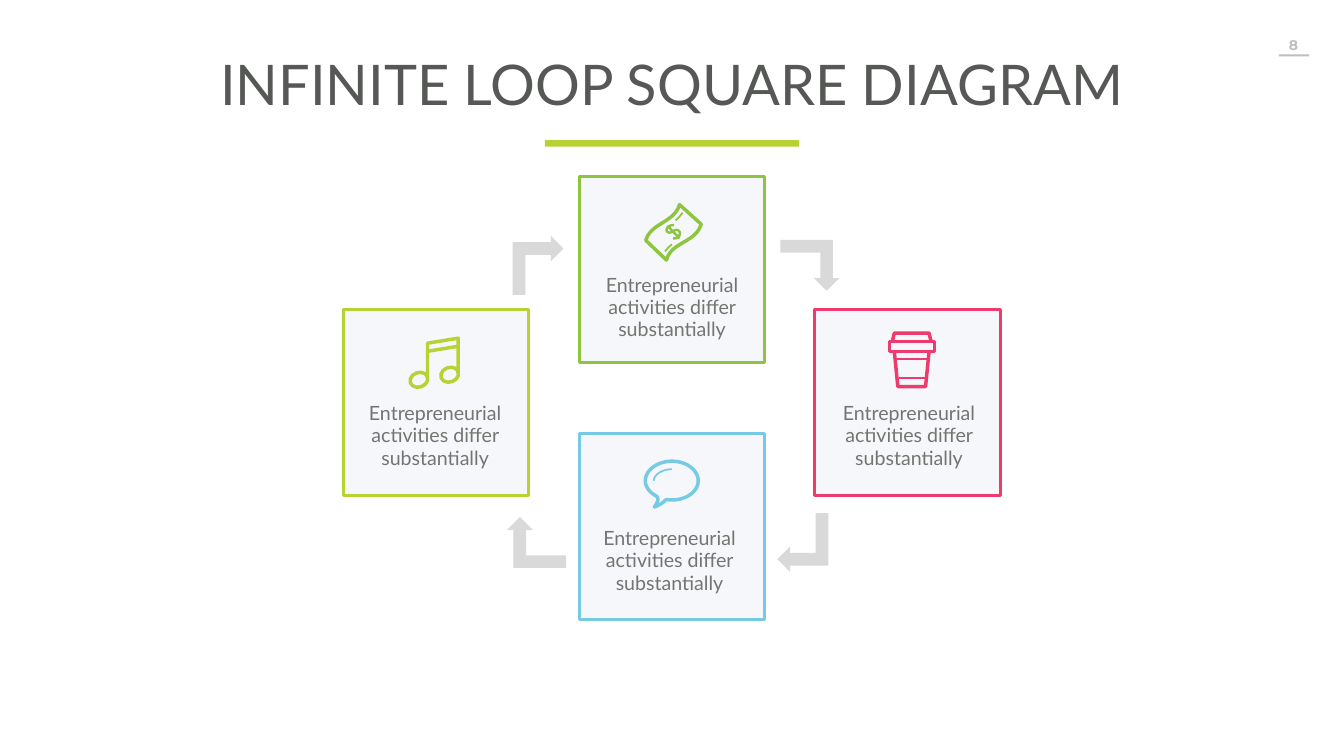
from collections import namedtuple

from pptx import Presentation
from pptx.dml.color import RGBColor
from pptx.enum.shapes import MSO_SHAPE
from pptx.enum.text import MSO_ANCHOR, PP_ALIGN
from pptx.oxml.ns import qn
from pptx.util import Inches, Pt

GREEN = RGBColor(0x8D, 0xC5, 0x40)
LIME = RGBColor(0xB7, 0xD3, 0x33)
BLUE = RGBColor(0x76, 0xCA, 0xE3)
PINK = RGBColor(0xEE, 0x3B, 0x6D)
PANEL = RGBColor(0xF6, 0xF7, 0xFA)
ARROW_GREY = RGBColor(0xD9, 0xD9, 0xD9)
PAGE_GREY = RGBColor(0xBF, 0xBF, 0xBF)
TEXT_GREY = RGBColor(0x73, 0x75, 0x72)
TITLE_GREY = RGBColor(0x56, 0x58, 0x56)

Box = namedtuple("Box", "left top width height")
Card = namedtuple("Card", "box color icon icon_at text_at")

CARD_TEXT = "Entrepreneurial activities differ substantially"
CARD_SIZE = (3.68, 3.69)
BOLD_STROKE, THIN_STROKE = 5, 2.5
CURVE_STEPS = 12


def inches(box):
    return [Inches(value) for value in box]


def add_block(page, kind, box, fill, line=None):
    shape = page.shapes.add_shape(kind, *inches(box))
    shape.shadow.inherit = False
    shape.fill.solid()
    shape.fill.fore_color.rgb = fill
    if line is None:
        shape.line.fill.background()
    else:
        shape.line.color.rgb = line
        shape.line.width = Pt(4.5)
    return shape


def write(frame, text, font, size, color, spacing=1.0, bold=False):
    para = frame.paragraphs[0]
    para.alignment = PP_ALIGN.CENTER
    para.line_spacing = spacing
    span = para.add_run()
    span.text = text
    span.font.name = font
    span.font.size = Pt(size)
    span.font.bold = bold
    span.font.color.rgb = color


def add_text(page, box, *args, **style):
    frame = page.shapes.add_textbox(*inches(box)).text_frame
    frame.word_wrap = True
    frame.margin_left = frame.margin_right = Inches(0.2)
    frame.margin_top = frame.margin_bottom = Inches(0.1)
    write(frame, *args, **style)


def flatten(path):
    """Turn steps of one point (line) or three points (cubic curve) into points."""
    points = [path[0]]
    for step in path[1:]:
        if len(step) == 2:
            points.append(step)
            continue
        start, (first, second, end) = points[-1], step
        for index in range(1, CURVE_STEPS + 1):
            t = index / CURVE_STEPS
            u = 1 - t
            points.append(tuple(
                u ** 3 * a + 3 * u * u * t * b + 3 * u * t * t * c + t ** 3 * d
                for a, b, c, d in zip(start, first, second, end)))
    return points


def add_strokes(page, at, color, weight, paths):
    """Draw open or closed strokes in one outline, measured from the icon corner."""
    contours = [[(Inches(at[0] + x), Inches(at[1] + y)) for x, y in flatten(path)]
                for path in paths]
    builder = page.shapes.build_freeform(*contours[0][0], scale=1.0)
    for index, contour in enumerate(contours):
        if index:
            builder.move_to(*contour[0])
        builder.add_line_segments(contour[1:], close=contour[0] == contour[-1])
    shape = builder.convert_to_shape()
    shape.shadow.inherit = False
    shape.fill.background()
    shape.line.color.rgb = color
    shape.line.width = Pt(weight)


def draw_banknote(page, at, color):
    add_strokes(page, at, color, BOLD_STROKE, [
        [(0.46, 1.14), (0.05, 0.75), ((0.15, 0.40), (0.62, 0.40), (0.72, 0.04)),
         (1.15, 0.43), ((1.04, 0.80), (0.55, 0.78), (0.46, 1.14))]])
    add_strokes(page, at, color, 3.5, [
        [(0.61, 0.45), ((0.52, 0.43), (0.42, 0.53), (0.48, 0.58)),
         ((0.54, 0.64), (0.62, 0.51), (0.69, 0.55)),
         ((0.78, 0.60), (0.70, 0.73), (0.59, 0.71))],
        [(0.48, 0.46), (0.72, 0.71)]])
    add_strokes(page, at, color, THIN_STROKE, [
        [(0.43, 0.97), ((0.48, 0.91), (0.52, 0.86), (0.57, 0.83))],
        [(0.64, 0.35), ((0.70, 0.31), (0.74, 0.25), (0.78, 0.20))]])


def draw_music_note(page, at, color):
    add_strokes(page, at, color, BOLD_STROKE, [
        [(0.39, 0.84), (0.39, 0.13), (1.00, 0.03), (1.00, 0.74)],
        [(0.39, 0.29), (1.00, 0.19)]])
    for left, top in ((0.04, 0.71), (0.65, 0.61)):
        head = page.shapes.add_shape(
            MSO_SHAPE.OVAL, *inches((at[0] + left, at[1] + top, 0.36, 0.29)))
        head.rotation = -20
        head.shadow.inherit = False
        head.fill.background()
        head.line.color.rgb = color
        head.line.width = Pt(BOLD_STROKE)


def draw_speech_bubble(page, at, color):
    add_strokes(page, at, color, BOLD_STROKE, [
        [(0.45, 0.79), ((0.49, 0.80), (0.53, 0.80), (0.56, 0.80)),
         ((0.85, 0.80), (1.08, 0.63), (1.08, 0.42)),
         ((1.08, 0.21), (0.85, 0.03), (0.56, 0.03)),
         ((0.27, 0.03), (0.03, 0.21), (0.03, 0.42)),
         ((0.03, 0.55), (0.13, 0.66), (0.26, 0.73)),
         ((0.30, 0.76), (0.28, 0.85), (0.21, 0.94)),
         ((0.31, 0.91), (0.38, 0.85), (0.45, 0.79))]])
    add_strokes(page, at, color, THIN_STROKE, [
        [(0.20, 0.42), ((0.20, 0.30), (0.36, 0.19), (0.56, 0.19))]])


def draw_cup(page, at, color):
    add_strokes(page, at, color, BOLD_STROKE, [
        [(0.04, 0.20), (0.94, 0.20), (0.94, 0.39), (0.04, 0.39), (0.04, 0.20)],
        [(0.10, 0.20), (0.14, 0.03), (0.83, 0.03), (0.87, 0.20)],
        [(0.14, 0.39), (0.21, 1.09), (0.76, 1.09), (0.83, 0.39)]])
    add_strokes(page, at, color, THIN_STROKE, [
        [(0.18, 0.54), (0.80, 0.54)], [(0.23, 0.92), (0.75, 0.92)]])


def add_card(page, card):
    add_block(page, MSO_SHAPE.RECTANGLE, card.box, PANEL, card.color)
    card.icon(page, card.icon_at, card.color)
    add_text(page, Box(*card.text_at, 3.38, 1.6), CARD_TEXT, "Lato", 28, TEXT_GREY,
             spacing=0.95)


def add_loop_arrow(page, left, top, turn):
    arrow = add_block(page, MSO_SHAPE.BENT_UP_ARROW, Box(left, top, 1.17, 1.01), ARROW_GREY)
    arrow.rotation = turn
    arrow._element.spPr.find(qn("a:xfrm")).set("flipH", "1")


def add_title(page, box, text):
    title = page.shapes.title
    title.left, title.top, title.width, title.height = inches(box)
    title.text_frame.vertical_anchor = MSO_ANCHOR.MIDDLE
    write(title.text_frame, text, "Lato", 80, TITLE_GREY, spacing=0.9)
    add_block(page, MSO_SHAPE.RECTANGLE, Box(10.81, 2.78, 5.04, 0.13), LIME)


def add_page_number(page, box, number):
    add_text(page, box, number, "Montserrat", 20, PAGE_GREY, bold=True)
    add_block(page, MSO_SHAPE.RECTANGLE, Box(25.37, 1.08, 0.6, 0.04), PAGE_GREY)


def main():
    deck = Presentation()
    deck.slide_width, deck.slide_height = Inches(26.66), Inches(15)
    page = deck.slides.add_slide(deck.slide_layouts[5])
    add_page_number(page, Box(25.19, 0.62, 0.94, 0.54), "8")
    add_title(page, Box(1.54, 1.08, 23.58, 1.31), "INFINITE LOOP SQUARE DIAGRAM")
    for card in (
        Card(Box(11.49, 3.51, *CARD_SIZE), GREEN, draw_banknote, (12.76, 4.02), (11.64, 5.34)),
        Card(Box(6.81, 6.14, *CARD_SIZE), LIME, draw_music_note, (8.09, 6.68), (6.94, 7.89)),
        Card(Box(11.49, 8.6, *CARD_SIZE), BLUE, draw_speech_bubble, (12.77, 9.12), (11.59, 10.37)),
        Card(Box(16.16, 6.14, *CARD_SIZE), PINK, draw_cup, (17.6, 6.58), (16.34, 7.89)),
    ):
        add_card(page, card)
    for left, top, turn in ((10.09, 4.76, 90), (15.48, 4.76, 180),
                            (15.34, 10.26, 270), (10.06, 10.26, 0)):
        add_loop_arrow(page, left, top, turn)
    deck.save("out.pptx")


if __name__ == "__main__":
    main()
